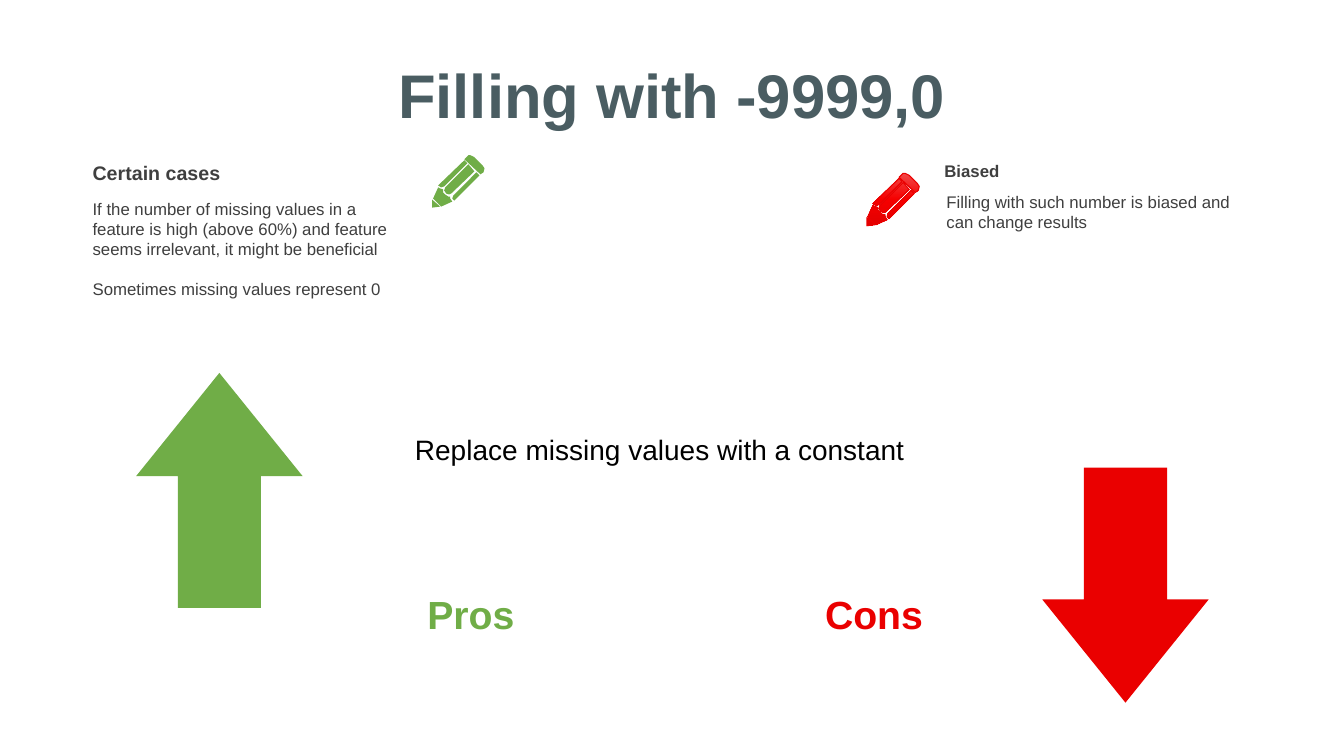
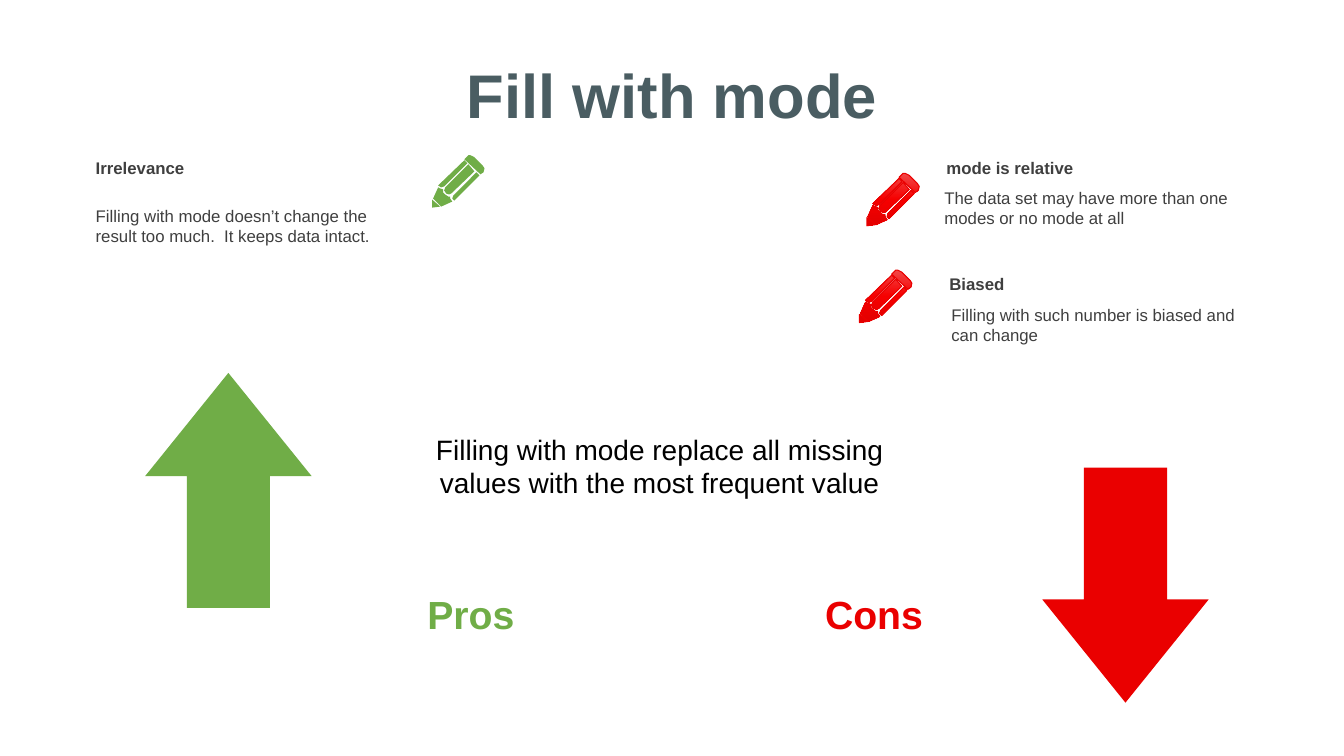
from copy import deepcopy

from pptx import Presentation
from pptx.dml.color import RGBColor
from pptx.enum.shapes import MSO_SHAPE as Preset
from pptx.enum.text import MSO_ANCHOR as Anchor, MSO_AUTO_SIZE as AutoSize, PP_ALIGN as Align
from pptx.oxml.ns import qn
from pptx.util import Inches, Pt

deck = Presentation()
deck.slide_width, deck.slide_height = Inches(13.333), Inches(7.5)
title_only = deck.slide_layouts[5]

colour = RGBColor.from_string
GREEN, RED = "70AD47", "EA0000"
RED_SHADES = [(0, "F24747"), (0.5, "F50000"), (1, "E20000")]

FORMATS = {
    "title": {"size": Pt(44), "bold": True, "hex": "4A5D62", "align": Align.CENTER},
    "pros": {"size": Pt(28), "bold": True, "hex": GREEN, "align": Align.CENTER},
    "cons": {"size": Pt(28), "bold": True, "hex": RED, "align": Align.CENTER},
    "message": {"size": Pt(20), "bold": False, "hex": "000000", "align": Align.CENTER},
    "lead": {"size": Pt(14), "bold": True, "hex": "3F3F3F", "align": Align.LEFT},
    "heading": {"size": Pt(12), "bold": True, "hex": "3F3F3F", "align": Align.LEFT},
    "detail": {"size": Pt(12), "bold": False, "hex": "3F3F3F", "align": Align.LEFT},
}

TITLE_AREA = (20.78, 6.8, 58.5, 11.2)
MESSAGE_AREA = (28.5, 56.53, 41.18, 5.87)
VERDICTS = [("Pros", "pros", 30.23), ("Cons", "cons", 60.23)]
NOTE_WIDTH = 24.15
NOTE_HEIGHTS = {"lead": 4, "heading": 4, "detail": 6.8}

PENCIL_PARTS = [
    [(0, 44), (8, 51), (0, 52)],
    [(6, 32), (8, 33), (11, 34), (11, 37), (13, 39), (16, 41), (18, 41),
     (18, 43), (20, 46), (9, 51), (1, 43)],
    [(44, 17), (47, 20), (22, 45), (20, 43), (21, 40)],
    [(36, 9), (42, 16), (19, 38), (17, 39), (14, 38), (12, 35), (13, 32)],
    [(32, 5), (35, 8), (12, 31), (9, 32), (6, 30)],
    [(38, 0), (40, 1), (42, 2), (50, 10), (52, 13), (51, 17), (48, 19),
     (32, 4), (35, 1), (36, 0)],
]

SLIDES = [
    {
        "title": "Filling with -9999,0",
        "message": "Replace missing values with a constant",
        "up_arrow_left": 10.13,
        "pencils": [(32.15, 20.53, GREEN), (64.5, 22.93, RED)],
        "notes": [
            ("lead", 6.15, 20.67, ["Certain cases"]),
            ("detail", 6.15, 25.6, [
                "If the number of missing values in a feature is high (above 60%) "
                "and feature seems irrelevant, it might be beneficial",
                "Sometimes missing values represent 0"]),
            ("heading", 69.53, 20.67, ["Biased"]),
            ("detail", 69.68, 24.67, [
                "Filling with such number is biased and can change results"]),
        ],
    },
    {
        "title": "Fill with mode",
        "message": "Filling with mode replace all missing values with the most frequent value",
        "up_arrow_left": 10.8,
        "pencils": [(32.15, 20.53, GREEN), (64.5, 22.93, RED), (63.95, 35.73, RED)],
        "notes": [
            ("heading", 6.38, 20.27, ["Irrelevance"]),
            ("detail", 6.38, 26.53, [
                "Filling with mode doesn’t change the result too much.  It keeps data intact."]),
            ("heading", 69.68, 20.27, ["mode is relative"]),
            ("detail", 69.53, 24.13, [
                "The data set may have more than one modes or no mode at all"]),
            ("heading", 69.9, 35.6, ["Biased"]),
            ("detail", 70.05, 39.6, ["Filling with such number is biased and can change"]),
        ],
    },
]


def share(left, top, width=0, height=0):
    return [int(deck.slide_width * left / 100), int(deck.slide_height * top / 100),
            int(deck.slide_width * width / 100), int(deck.slide_height * height / 100)]


def write(box, area, style, lines):
    box.left, box.top, box.width, box.height = share(*area)
    frame = box.text_frame
    frame.word_wrap = True
    frame.auto_size = AutoSize.NONE
    frame.vertical_anchor = Anchor.MIDDLE if style == "title" else Anchor.TOP
    values = dict(FORMATS[style], name="Arial")
    align, ink = values.pop("align"), values.pop("hex")
    for index, line in enumerate(lines):
        para = frame.add_paragraph() if index else frame.paragraphs[0]
        para.alignment = align
        para.space_before = Pt(14 if index else 0)
        span = para.add_run()
        span.text = line
        span.font.color.rgb = colour(ink)
        for name, value in values.items():
            setattr(span.font, name, value)


for content in SLIDES:
    page = deck.slides.add_slide(title_only)
    shapes = page.shapes
    write(shapes.title, TITLE_AREA, "title", [content["title"]])
    write(shapes.add_textbox(0, 0, 0, 0), MESSAGE_AREA, "message", [content["message"]])

    for word, style, left in VERDICTS:
        write(shapes.add_textbox(0, 0, 0, 0), (left, 77.47, 9.6, 7.6), style, [word])

    for preset, left, top, ink in [
        (Preset.UP_ARROW, content["up_arrow_left"], 49.33, GREEN),
        (Preset.DOWN_ARROW, 77.55, 61.87, RED),
    ]:
        arrow = shapes.add_shape(preset, *share(left, top, 12.38, 31.07))
        arrow.adjustments[0], arrow.adjustments[1] = 0.5, 0.62
        arrow.shadow.inherit = False
        arrow.fill.solid()
        arrow.fill.fore_color.rgb = colour(ink)
        arrow.line.fill.background()

    for left, top, ink in content["pencils"]:
        builder = shapes.build_freeform(*PENCIL_PARTS[0][0], scale=deck.slide_width / 1333)
        for part in PENCIL_PARTS:
            builder.move_to(*part[0])
            builder.add_line_segments(part[1:], close=True)
        pencil = builder.convert_to_shape(*share(left, top)[:2])
        pencil.shadow.inherit = False
        if ink == GREEN:
            pencil.fill.solid()
            pencil.fill.fore_color.rgb = colour(ink)
            pencil.line.fill.background()
        else:
            pencil.fill.gradient()
            pencil.fill.gradient_angle = 270
            stops = next(pencil._element.iter(qn("a:gsLst")))
            stops.insert(1, deepcopy(stops[0]))
            for stop, (position, shade) in zip(pencil.fill.gradient_stops, RED_SHADES):
                stop.position = position
                stop.color.rgb = colour(shade)
            pencil.line.color.rgb = colour(ink)
            pencil.line.width = Pt(0.75)

    for style, left, top, lines in content["notes"]:
        area = (left, top, NOTE_WIDTH, NOTE_HEIGHTS[style])
        write(shapes.add_textbox(0, 0, 0, 0), area, style, lines)

deck.save("out.pptx")
